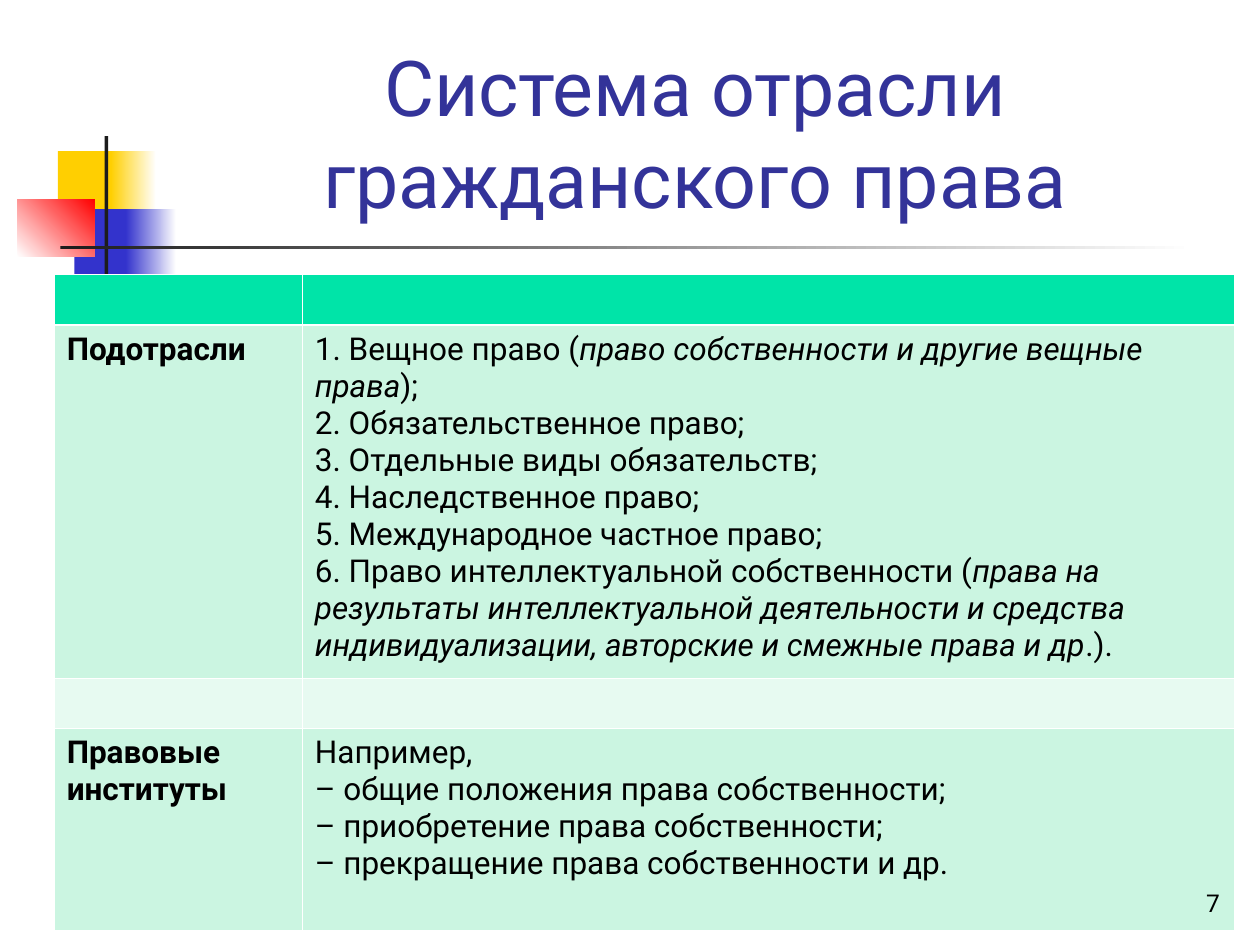
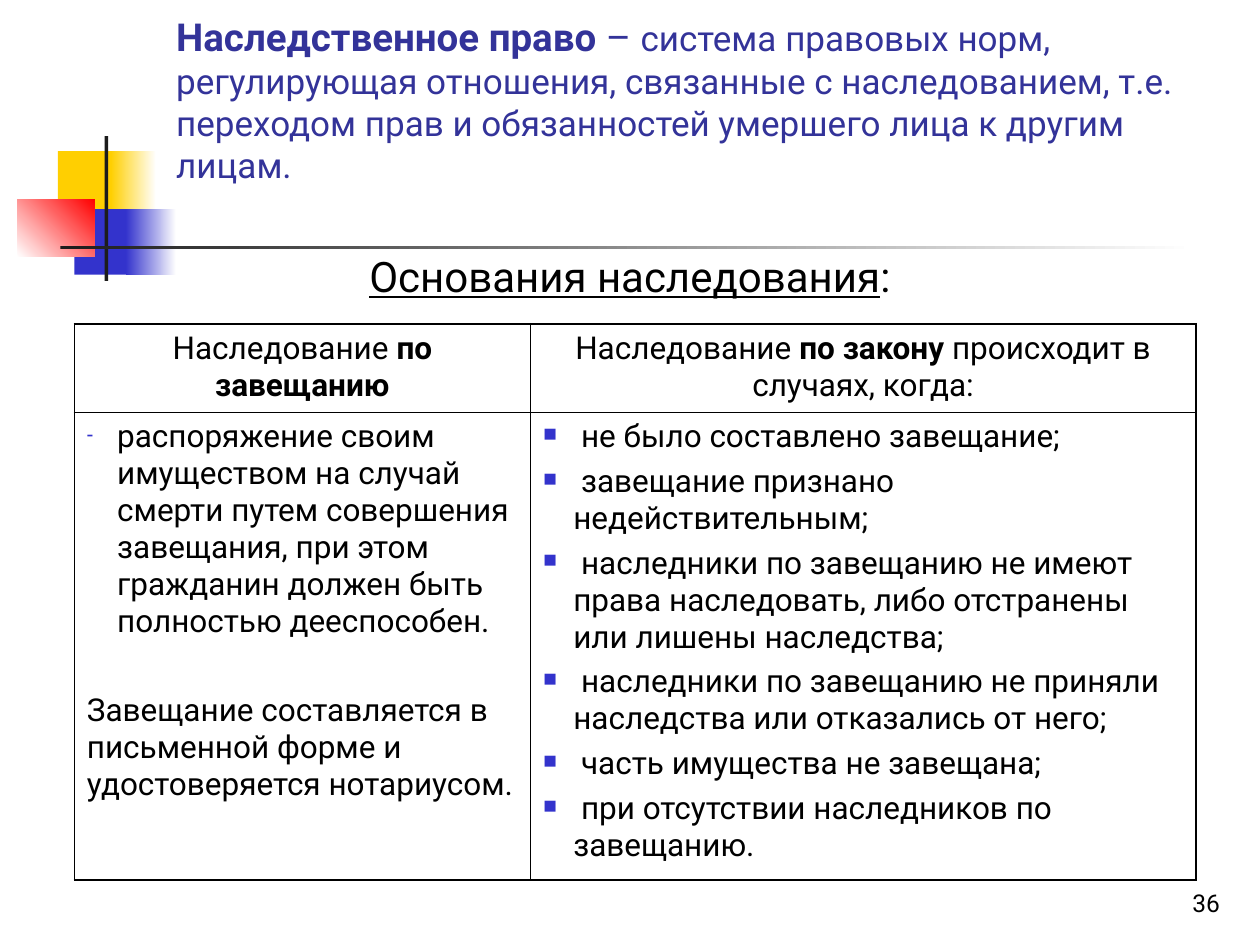
"""Two slides on civil law: the system of the branch and the grounds of inheritance."""
from lxml import etree
from pptx import Presentation
from pptx.dml.color import RGBColor
from pptx.enum import shapes, text
from pptx.oxml import ns
from pptx.util import Pt

PX = 9144
FONT = "Roboto"
NAVY, BLUE, GOLD, RED = "333399", "3333CC", "FFCF01", "FF0000"
BLACK, DARK, WHITE = "000000", "1C1C1C", "FFFFFF"
GREEN, MINT, PALE = "00E4A8", "CBF5E1", "E7FAF1"
LEFT, MID, RIGHT = text.PP_ALIGN.LEFT, text.PP_ALIGN.CENTER, text.PP_ALIGN.RIGHT
TOP, BOTTOM = text.MSO_ANCHOR.TOP, text.MSO_ANCHOR.BOTTOM
rgb = RGBColor.from_string


def write(frame, paras, size=18, color=BLACK, align=LEFT, anchor=TOP,
          gap=0, line=None, marks=""):
    frame.word_wrap = True
    frame.vertical_anchor = anchor
    for i, runs in enumerate(paras):
        para = frame.add_paragraph() if i else frame.paragraphs[0]
        para.alignment = align
        if i and gap:
            para.space_before = Pt(gap)
        if line:
            para.line_spacing = line
        if marks[i:i + 1].strip():
            props = para._p.get_or_add_pPr()
            props.set("marL", str(24 * PX))
            props.set("indent", str(-24 * PX))
            tint = etree.SubElement(props, ns.qn("a:buClr"))
            etree.SubElement(tint, ns.qn("a:srgbClr"), val=BLUE)
            etree.SubElement(props, ns.qn("a:buSzPct"), val="60000")
            etree.SubElement(props, ns.qn("a:buChar"), char=marks[i])
        for words, style, *own in [(runs, "")] if isinstance(runs, str) else runs:
            run = para.add_run()
            run.text = words
            font = run.font
            font.name, font.size = FONT, Pt(own[0] if own else size)
            font.bold, font.italic, font.underline = (c in style for c in "biu")
            font.color.rgb = rgb(color)


def grid(slide, x, y, cols, rows, fills, color, edge, thin, head):
    table = slide.shapes.add_table(len(rows), len(cols), x * PX, y * PX,
                                   sum(cols) * PX, sum(rows) * PX).table
    table.first_row = table.horz_banding = False
    for col, width in zip(table.columns, cols):
        col.width = width * PX
    for r, height in enumerate(rows):
        table.rows[r].height = height * PX
        for c in range(len(cols)):
            cell = table.cell(r, c)
            if fills:
                cell.fill.solid()
                cell.fill.fore_color.rgb = rgb(fills[r])
            else:
                cell.fill.background()
            sides = {"L": thin if c else edge,
                     "R": thin if c < len(cols) - 1 else edge,
                     "T": edge if r == 0 else head if r == 1 else thin,
                     "B": head if r == 0 else thin if r < len(rows) - 1 else edge}
            props = cell._tc.get_or_add_tcPr()
            for n, (side, weight) in enumerate(sides.items()):
                rule = etree.Element(ns.qn("a:ln" + side), w=str(Pt(weight)))
                solid = etree.SubElement(rule, ns.qn("a:solidFill"))
                etree.SubElement(solid, ns.qn("a:srgbClr"), val=color)
                props.insert(n, rule)
    return table


deck = Presentation()
deck.slide_width, deck.slide_height = 1000 * PX, 750 * PX
decor = [
    (46, 120, 48, 52, [GOLD], 0),
    (88, 120, 36, 52, [GOLD, WHITE], 0),
    (59, 166, 46, 52, [BLUE], 0),
    (100, 166, 40, 52, [BLUE, WHITE], 0),
    (14, 158, 61, 46, [WHITE, RED], 45),
    (83, 108, 3, 115, [DARK], 0),
    (48, 195, 900, 3, [DARK, WHITE], 0),
]

system = [
    [("1. Вещное право (", ""), ("право собственности и другие вещные права", "i"), (");", "")],
    "2. Обязательственное право;",
    "3. Отдельные виды обязательств;",
    "4. Наследственное право;",
    "5. Международное частное право;",
    [("6. Право интеллектуальной собственности (", ""),
     ("права на результаты интеллектуальной деятельности и средства "
      "индивидуализации, авторские и смежные права и др", "i"), (".).", "")],
]
units = [
    "Например,",
    "– общие положения права собственности;",
    "– приобретение права собственности;",
    "– прекращение права собственности и др.",
]
will = [
    "распоряжение своим имуществом на случай смерти путем совершения завещания, "
    "при этом гражданин должен быть полностью дееспособен.",
    "Завещание составляется в письменной форме и удостоверяется нотариусом.",
]
law = [
    " не было составлено завещание;",
    " завещание признано недействительным;",
    " наследники по завещанию не имеют права наследовать, либо отстранены или лишены наследства;",
    " наследники по завещанию не приняли наследства или отказались от него;",
    " часть имущества не завещана;",
    " при отсутствии наследников по завещанию.",
]
branch = ["Система отрасли гражданского права"]
heirs = [[
    ("Наследственное право", "b", 22), (" – ", "", 22),
    ("система правовых норм, регулирующая отношения, связанные с наследованием, "
     "т.е. переходом прав и обязанностей умершего лица к другим лицам.", ""),
]]

pages = []
for title, box, size, align in [(branch, (126, 23, 852, 160), 44, MID),
                                (heirs, (130, 36, 858, 116), 20, LEFT)]:
    slide = deck.slides.add_slide(deck.slide_layouts[6])
    for *place, hues, angle in decor:
        block = slide.shapes.add_shape(shapes.MSO_SHAPE.RECTANGLE, *(v * PX for v in place))
        block.shadow.inherit = False
        block.line.fill.background()
        if len(hues) == 1:
            block.fill.solid()
            block.fill.fore_color.rgb = rgb(hues[0])
        else:
            block.fill.gradient()
            block.fill.gradient_angle = angle
            for stop, hue in zip(block.fill.gradient_stops, hues):
                stop.color.rgb = rgb(hue)
    head = slide.shapes.add_textbox(*(v * PX for v in box))
    write(head.text_frame, title, size=size, color=NAVY, align=align, anchor=BOTTOM)
    pages.append(slide)

table = grid(pages[0], 43, 218, [197, 740], [40, 280, 40, 160],
             [GREEN, MINT, PALE, MINT], WHITE, 0.45, 0.45, 1.47)
for row, name, items in [(1, "Подотрасли", system), (3, "Правовые институты", units)]:
    write(table.cell(row, 0).text_frame, [[(name, "b")]])
    write(table.cell(row, 1).text_frame, items)

head = pages[1].shapes.add_textbox(75 * PX, 202 * PX, 850 * PX, 47 * PX)
write(head.text_frame, [[("Основания наследования", "u"), (":", "")]],
      size=24, align=MID, line=0.8)
table = grid(pages[1], 59, 257, [362, 528], [70, 371], None, BLACK, 1.08, 0.45, 0.45)
write(table.cell(0, 0).text_frame,
      [[("Наследование ", ""), ("по завещанию", "b")]], align=MID)
write(table.cell(0, 1).text_frame,
      [[("Наследование ", ""), ("по закону", "b"), (" происходит в случаях, когда:", "")]],
      align=MID)
write(table.cell(1, 0).text_frame, will, gap=30, marks="-")
write(table.cell(1, 1).text_frame, law, gap=4.5, marks="■" * len(law))

for slide, number in zip(pages, ["7", "36"]):
    foot = slide.shapes.add_textbox(770 * PX, 683 * PX, 208 * PX, 50 * PX)
    write(foot.text_frame, [number], size=14, align=RIGHT, anchor=BOTTOM)

deck.save("out.pptx")
